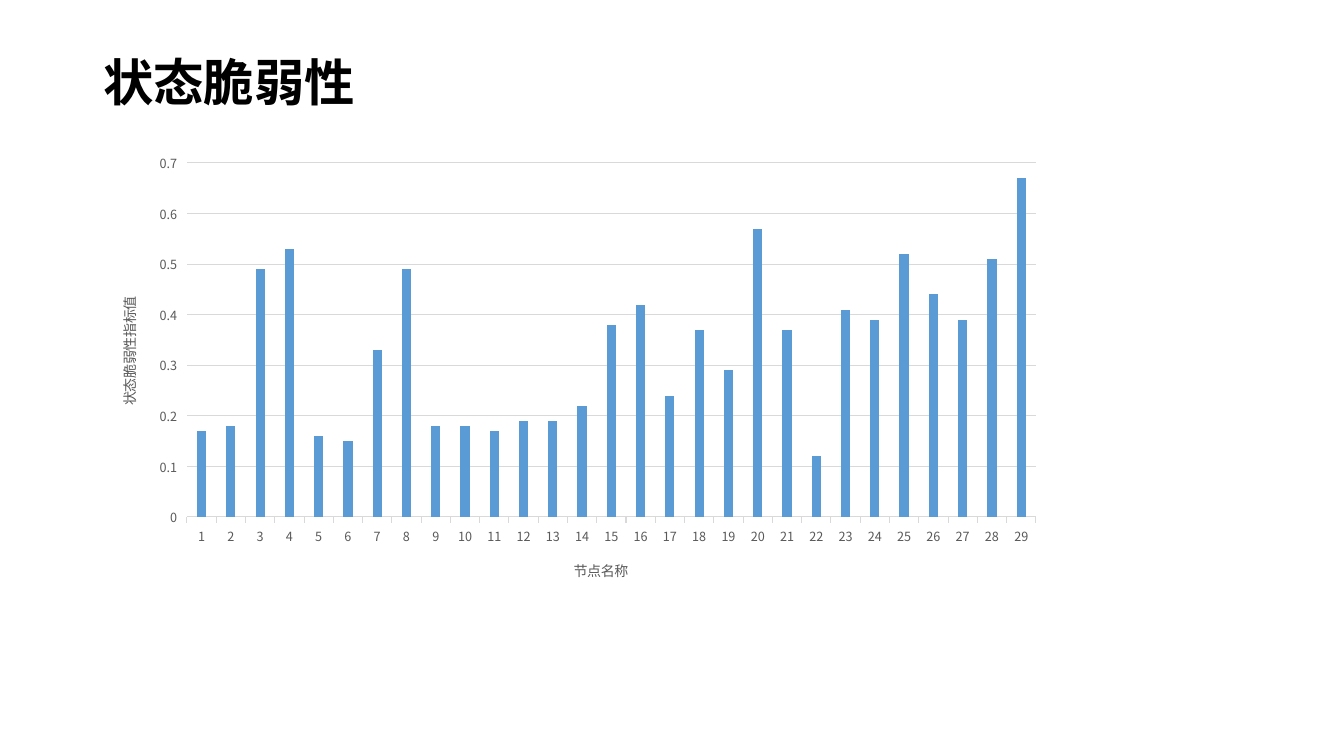
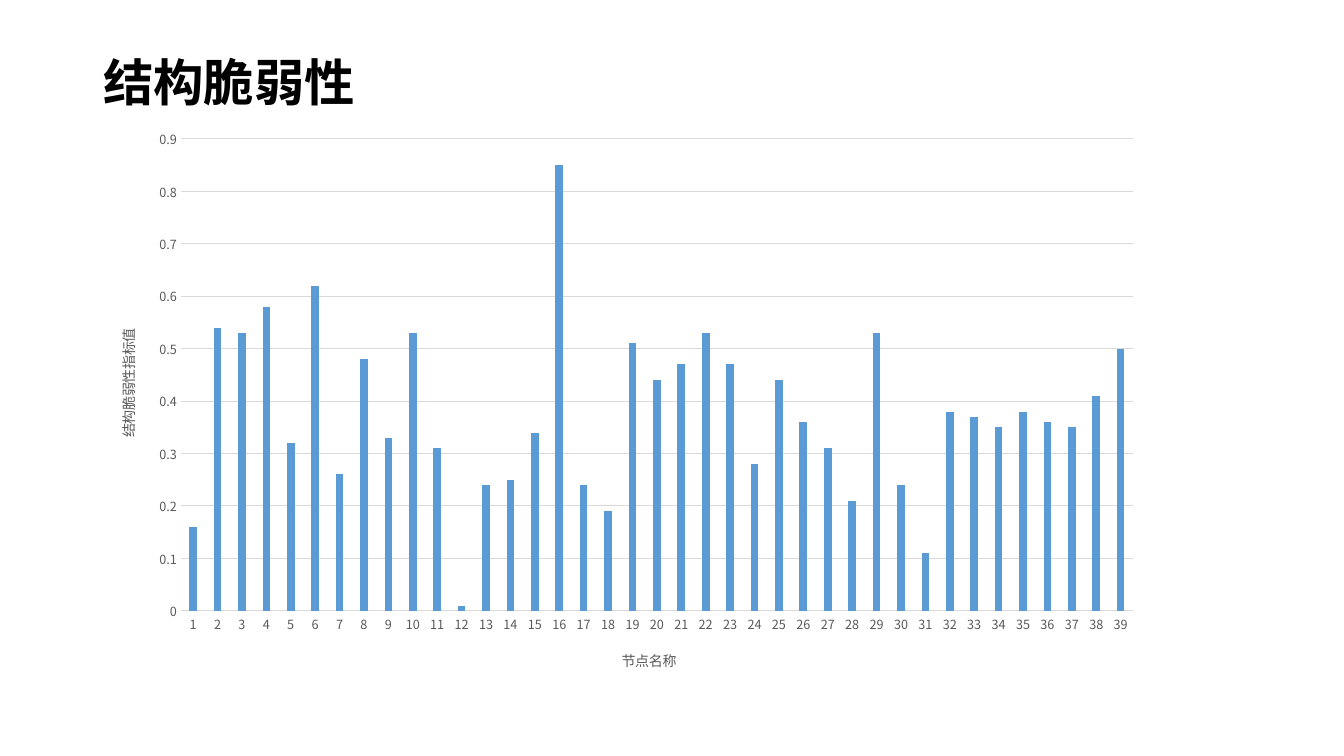
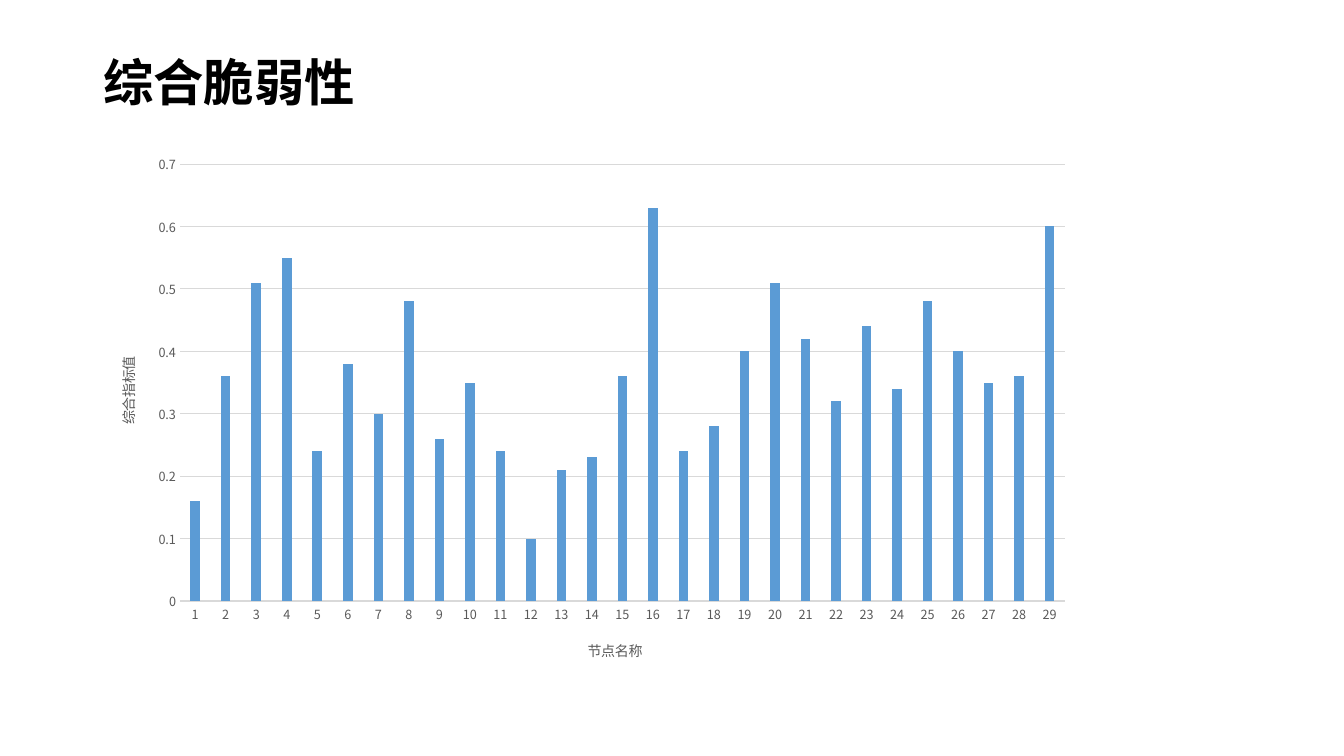
from dataclasses import dataclass
from typing import Optional

from pptx import Presentation
from pptx.chart.data import CategoryChartData
from pptx.dml.color import RGBColor
from pptx.enum.chart import XL_CHART_TYPE as ChartType, XL_TICK_MARK as Tick
from pptx.enum.text import MSO_ANCHOR as Anchor, MSO_AUTO_SIZE as AutoSize, PP_ALIGN as Align
from pptx.oxml import parse_xml
from pptx.oxml.ns import nsdecls, qn
from pptx.util import Emu, Pt

SLIDE_W, SLIDE_H = 1344, 756
EMU_PER_PX = 12192000 / SLIDE_W
FONT = "Noto Sans CJK SC"
BLACK, GRAY, RULE, BLUE = "000000", "595959", "D9D9D9", "5B9BD5"


@dataclass(frozen=True)
class Box:
    left: int
    top: int
    width: int
    height: int

    def emu(self) -> tuple[Emu, ...]:
        return tuple(px(n) for n in (self.left, self.top, self.width, self.height))


@dataclass(frozen=True)
class NodeChart:
    heading: str
    value_label: str
    frame: Box
    plot: Box
    node_label_at: tuple[int, int]
    value_label_at: tuple[int, int]
    top_value: float
    values: tuple[float, ...]
    ticks: Tick = Tick.NONE


HEADING_BOX = Box(93, 40, 1159, 90)
NODE_LABEL = "节点名称"

CHARTS = (
    NodeChart(
        "状态脆弱性", "状态脆弱性指标值",
        Box(93, 145, 964, 454), Box(187, 163, 849, 354), (571, 557), (116, 294), 0.7,
        (0.17, 0.18, 0.49, 0.53, 0.16, 0.15, 0.33, 0.49, 0.18, 0.18,
         0.17, 0.19, 0.19, 0.22, 0.38, 0.42, 0.24, 0.37, 0.29, 0.57,
         0.37, 0.12, 0.41, 0.39, 0.52, 0.44, 0.39, 0.51, 0.67),
        Tick.OUTSIDE,
    ),
    NodeChart(
        "结构脆弱性", "结构脆弱性指标值",
        Box(93, 118, 1061, 571), Box(181, 139, 952, 472), (619, 647), (115, 326), 0.9,
        (0.16, 0.54, 0.53, 0.58, 0.32, 0.62, 0.26, 0.48, 0.33, 0.53,
         0.31, 0.01, 0.24, 0.25, 0.34, 0.85, 0.24, 0.19, 0.51, 0.44,
         0.47, 0.53, 0.47, 0.28, 0.44, 0.36, 0.31, 0.21, 0.53, 0.24,
         0.11, 0.38, 0.37, 0.35, 0.38, 0.36, 0.35, 0.41, 0.5),
    ),
    NodeChart(
        "综合脆弱性", "综合指标值",
        Box(93, 144, 992, 534), Box(180, 164, 885, 437), (585, 637), (115, 354), 0.7,
        (0.16, 0.36, 0.51, 0.55, 0.24, 0.38, 0.3, 0.48, 0.26, 0.35,
         0.24, 0.1, 0.21, 0.23, 0.36, 0.63, 0.24, 0.28, 0.4, 0.51,
         0.42, 0.32, 0.44, 0.34, 0.48, 0.4, 0.35, 0.36, 0.6),
    ),
)


def px(count: int) -> Emu:
    return Emu(round(count * EMU_PER_PX))


def color(hex_code: str) -> RGBColor:
    return RGBColor.from_string(hex_code)


def style_font(font, size: int, hex_code: str, bold: bool = False) -> None:
    font.name = FONT
    font.size = Pt(size)
    font.bold = bold
    font.color.rgb = color(hex_code)
    font._rPr.append(parse_xml(f'<a:ea {nsdecls("a")} typeface="{FONT}"/>'))


def style_rule(line) -> None:
    line.color.rgb = color(RULE)
    line.width = Pt(0.75)


def place_in_chart(part, index: int, frame: Box, left: int, top: int,
                   size: Optional[tuple[int, int]] = None) -> None:
    fractions = {"x": (left - frame.left) / frame.width, "y": (top - frame.top) / frame.height}
    if size:
        fractions |= {"w": size[0] / frame.width, "h": size[1] / frame.height}
    target = '<c:layoutTarget val="inner"/>' if size else ""
    modes = '<c:xMode val="edge"/><c:yMode val="edge"/>'
    extent = "".join(f'<c:{key} val="{share:.4f}"/>' for key, share in fractions.items())
    former = part.find(qn("c:layout"))
    if former is not None:
        part.remove(former)
    part.insert(index, parse_xml(
        f'<c:layout {nsdecls("c")}><c:manualLayout>{target}{modes}{extent}'
        "</c:manualLayout></c:layout>"))


def label_axis(axis, text: str, frame: Box, at: tuple[int, int], rotation: int) -> None:
    caption = axis.axis_title
    words = caption.text_frame.paragraphs[0].add_run()
    words.text = text
    style_font(words.font, 10, GRAY)
    caption.text_frame._txBody.bodyPr.set("rot", str(rotation))
    place_in_chart(caption._element, 1, frame, *at)


def add_heading(slide, text: str) -> None:
    heading = slide.shapes.title
    heading.left, heading.top, heading.width, heading.height = HEADING_BOX.emu()
    frame = heading.text_frame
    frame.auto_size = AutoSize.NONE
    frame.word_wrap = True
    frame.vertical_anchor = Anchor.MIDDLE
    line = frame.paragraphs[0]
    line.alignment = Align.LEFT
    line.line_spacing = 0.9
    words = line.add_run()
    words.text = text
    style_font(words.font, 36, BLACK, bold=True)


def add_node_chart(slide, content: NodeChart) -> None:
    data = CategoryChartData()
    data.categories = [str(node) for node in range(1, len(content.values) + 1)]
    data.add_series("Series 1", content.values)
    chart = slide.shapes.add_chart(
        ChartType.COLUMN_CLUSTERED, *content.frame.emu(), data).chart
    style_font(chart.font, 10, BLACK)
    chart.has_legend = False
    chart.has_title = False

    bars = chart.plots[0]
    bars.vary_by_categories = False
    bars.gap_width = 219
    bars.overlap = -27
    fill = bars.series[0].format.fill
    fill.solid()
    fill.fore_color.rgb = color(BLUE)

    nodes, scale = chart.category_axis, chart.value_axis
    for axis in (nodes, scale):
        axis.major_tick_mark = content.ticks
        axis.minor_tick_mark = Tick.NONE
        style_font(axis.tick_labels.font, 9, GRAY)
    nodes.has_major_gridlines = False
    style_rule(nodes.format.line)
    scale.minimum_scale = 0
    scale.maximum_scale = content.top_value
    scale.major_unit = 0.1
    scale.tick_labels.number_format = "General"
    scale.tick_labels.number_format_is_linked = False
    scale.format.line.fill.background()
    style_rule(scale.major_gridlines.format.line)

    label_axis(nodes, NODE_LABEL, content.frame, content.node_label_at, 0)
    label_axis(scale, content.value_label, content.frame, content.value_label_at, -5400000)
    plot = content.plot
    place_in_chart(chart._chartSpace.chart.plotArea, 0, content.frame,
                   plot.left, plot.top, (plot.width, plot.height))


def main() -> None:
    deck = Presentation()
    deck.slide_width, deck.slide_height = px(SLIDE_W), px(SLIDE_H)
    title_only = deck.slide_layouts[5]
    for content in CHARTS:
        slide = deck.slides.add_slide(title_only)
        add_heading(slide, content.heading)
        add_node_chart(slide, content)
    deck.save("out.pptx")


if __name__ == "__main__":
    main()
